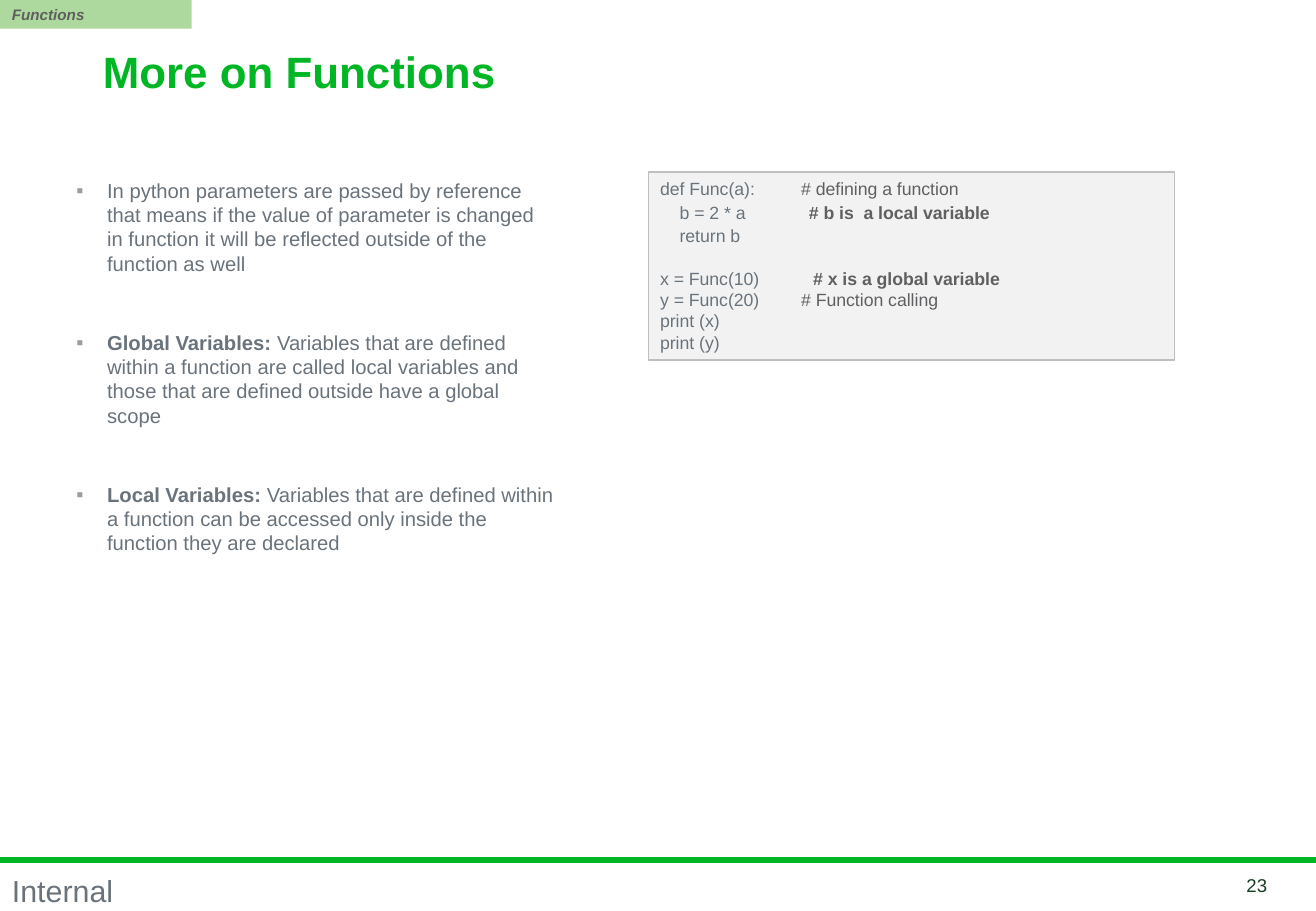
from dataclasses import dataclass

from lxml.etree import SubElement
from pptx import Presentation
from pptx.dml.color import RGBColor
from pptx.enum.shapes import MSO_CONNECTOR, MSO_SHAPE
from pptx.enum.text import MSO_ANCHOR, PP_ALIGN
from pptx.oxml.ns import qn
from pptx.util import Cm, Pt


@dataclass(frozen=True)
class Theme:
    """Colours, font and type sizes."""
    font: str = "Arial"
    green: str = "00B624"
    pale: str = "AED99E"
    gray: str = "6A737B"
    note: str = "606062"
    tag: str = "5F5F5F"
    mark: str = "9D9DA1"
    panel: str = "F2F2F2"
    edge: str = "BFBFBF"
    dark: str = "163D22"
    head: float = 26
    foot: float = 18
    body: float = 12
    page: float = 11
    code: float = 10.5
    small: float = 9


class Deck:
    """Draws styled elements on the current slide."""

    def __init__(self, theme, width, height):
        self.theme = theme
        self.file = Presentation()
        self.file.slide_width, self.file.slide_height = Cm(width), Cm(height)
        self.slide = self.file.slides.add_slide(self.file.slide_layouts[6])

    def style(self, font, size, color, bold=False, italic=False):
        """Set every trait of a font."""
        font.name, font.size = self.theme.font, Pt(size)
        font.bold, font.italic = bold, italic
        font.color.rgb = RGBColor.from_string(color)

    def line(self, y, color, width):
        """Draw a rule across the slide."""
        rule = self.slide.shapes.add_connector(
            MSO_CONNECTOR.STRAIGHT, 0, Cm(y), self.file.slide_width, Cm(y))
        rule.line.color.rgb = RGBColor.from_string(color)
        rule.line.width = Pt(width)
        SubElement(rule._element.spPr, qn("a:effectLst"))

    def text(self, box, words, size, color, bold=False, wrap=True,
             anchor=MSO_ANCHOR.TOP, align=PP_ALIGN.LEFT, lead=1.0):
        """Add a single-style text box."""
        frame = self.slide.shapes.add_textbox(*map(Cm, box)).text_frame
        frame.word_wrap, frame.vertical_anchor = wrap, anchor
        para = frame.paragraphs[0]
        para.text, para.alignment, para.line_spacing = words, align, lead
        self.style(para.font, size, color, bold)

    def panel(self, box, fill, edge=None):
        """Add a filled rectangle and return its text frame."""
        shape = self.slide.shapes.add_shape(MSO_SHAPE.RECTANGLE, *map(Cm, box))
        shape.shadow.inherit = False
        shape.fill.solid()
        shape.fill.fore_color.rgb = RGBColor.from_string(fill)
        if edge:
            shape.line.color.rgb = RGBColor.from_string(edge)
            shape.line.width = Pt(0.75)
        else:
            shape.line.fill.background()
        frame = shape.text_frame
        frame.word_wrap = True
        return frame

    def label(self, box, words):
        """Add the section tag."""
        frame = self.panel(box, self.theme.pale)
        frame.vertical_anchor = MSO_ANCHOR.MIDDLE
        para = frame.paragraphs[0]
        para.text, para.alignment = words, PP_ALIGN.LEFT
        self.style(para.font, self.theme.small, self.theme.tag, True, True)

    def code(self, box, rows):
        """Add a code panel with comments set at tab stops."""
        frame = self.panel(box, self.theme.panel, self.theme.edge)
        frame.vertical_anchor = MSO_ANCHOR.TOP
        for num, (words, note, stop, bold, gap) in enumerate(rows):
            para = frame.paragraphs[0] if num == 0 else frame.add_paragraph()
            para.alignment, para.space_before = PP_ALIGN.LEFT, Pt(gap)
            if note:
                tabs = SubElement(para._p.get_or_add_pPr(), qn("a:tabLst"))
                SubElement(tabs, qn("a:tab"), pos=str(Cm(stop)), algn="l")
            self.style(para.font, self.theme.code, self.theme.gray)
            para.add_run().text = words + ("\t" if note else "")
            if note:
                run = para.add_run()
                run.text = note
                run.font.bold = bold
                run.font.color.rgb = RGBColor.from_string(self.theme.note)

    def bullets(self, box, items, gap):
        """Add a bullet list with optional bold lead words."""
        frame = self.slide.shapes.add_textbox(*map(Cm, box)).text_frame
        frame.word_wrap = True
        for num, (lead, words) in enumerate(items):
            para = frame.paragraphs[0] if num == 0 else frame.add_paragraph()
            props = para._p.get_or_add_pPr()
            props.set("marL", str(Cm(0.64)))
            props.set("indent", str(-Cm(0.64)))
            tint = SubElement(props, qn("a:buClr"))
            SubElement(tint, qn("a:srgbClr"), val=self.theme.mark)
            SubElement(props, qn("a:buFont"), typeface=self.theme.font)
            SubElement(props, qn("a:buChar"), char="▪")
            para.space_before = Pt(gap if num else 0)
            self.style(para.font, self.theme.body, self.theme.gray)
            if lead:
                run = para.add_run()
                run.text, run.font.bold = lead, True
            para.add_run().text = words


def main():
    """Build the slide."""
    theme = Theme()
    deck = Deck(theme, 27.51, 19.05)
    deck.line(17.98, theme.green, 3.5)
    deck.text((0, 18.16, 2.64, 0.99), "Internal", theme.foot, theme.gray,
              wrap=False, lead=0.95)
    deck.text((1.9, 0.84, 22.43, 1.47), "More on Functions", theme.head,
              theme.green, bold=True, anchor=MSO_ANCHOR.MIDDLE, lead=0.85)
    deck.code((13.55, 3.6, 11, 3.93), [
        ("def Func(a):", "# defining a function", 2.95, False, 0),
        ("    b = 2 * a", "# b is  a local variable", 3.11, True, 1.2),
        ("    return b", "", 0, False, 1.2),
        ("x = Func(10)", "# x is a global variable", 3.2, True, 13),
        ("y = Func(20)", "# Function calling", 2.95, False, 0),
        ("print (x)", "", 0, False, 0),
        ("print (y)", "", 0, False, 0),
    ])
    deck.bullets((1.35, 3.6, 10.49, 8.46), [
        ("", "In python parameters are passed by reference that means if the "
         "value of parameter is changed in function it will be reflected "
         "outside of the function as well"),
        ("Global Variables:", " Variables that are defined within a function "
         "are called local variables and those that are defined outside have "
         "a global scope"),
        ("Local Variables:", " Variables that are defined within a function "
         "can be accessed only inside the function they are declared"),
    ], 32.5)
    deck.label((0, 0, 4.01, 0.6), "Functions")
    deck.text((24.66, 18.26, 2.08, 0.51), "23", theme.page, theme.dark,
              anchor=MSO_ANCHOR.MIDDLE, align=PP_ALIGN.RIGHT)
    deck.file.save("out.pptx")


if __name__ == "__main__":
    main()
